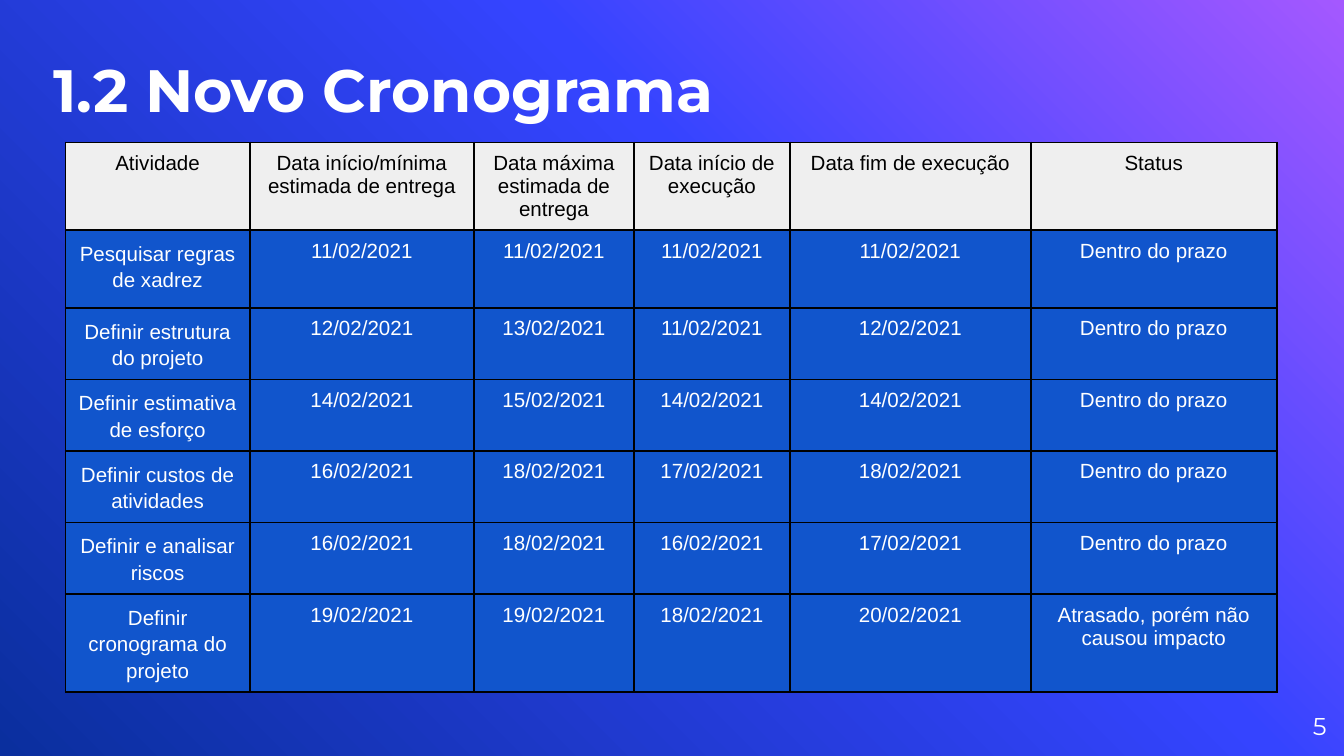
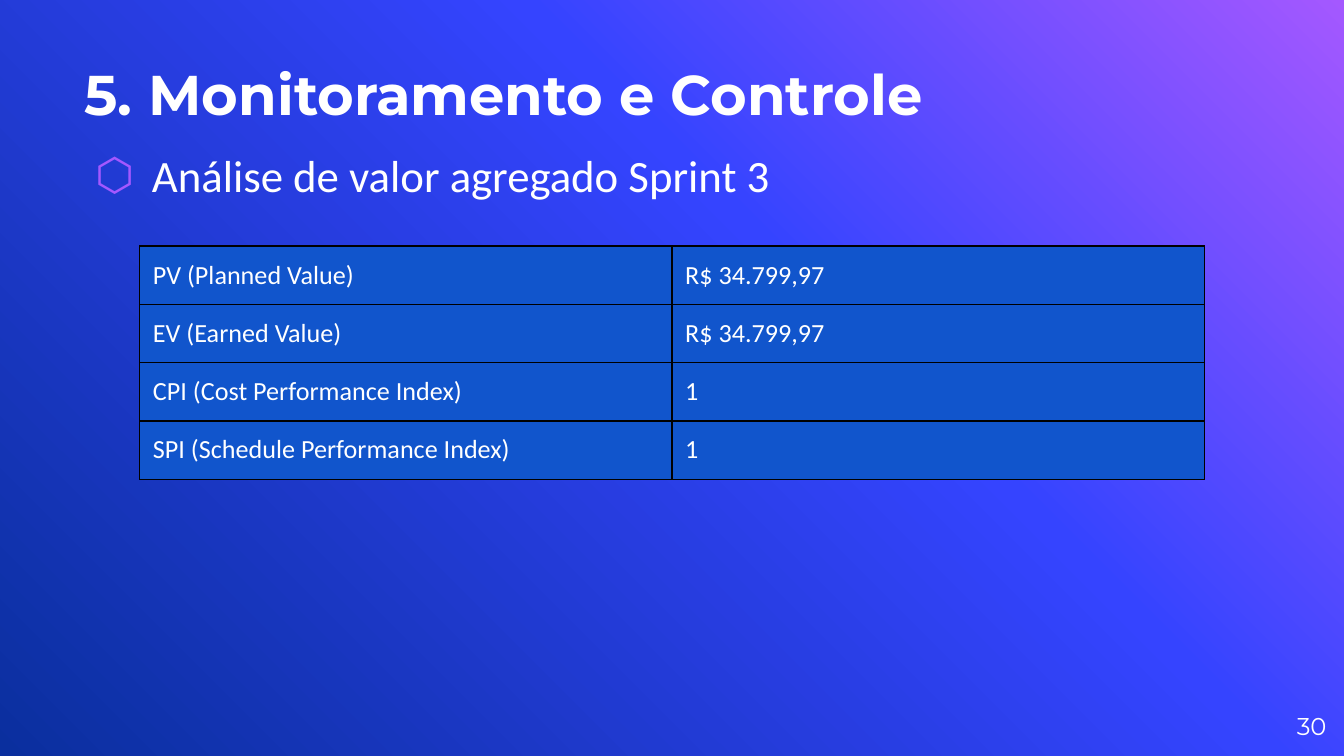
"""Build the schedule and earned-value slides of the project report."""
import copy

from pptx import Presentation
from pptx import util as u
from pptx.dml.color import RGBColor
from pptx.enum import text
from pptx.oxml import parse_xml
from pptx.oxml.ns import nsdecls, qn

WHITE, BLACK, BLUE, GRAY, PURPLE = "FFFFFF", "000000", "1155CC", "EFEFEF", "A458FF"
GRADIENT = [(0, PURPLE), (0.39, "3544FF"), (1, "0A2F9E")]
LEFT, CENTER, RIGHT = text.PP_ALIGN.LEFT, text.PP_ALIGN.CENTER, text.PP_ALIGN.RIGHT
TOP, MIDDLE, BOTTOM = text.MSO_ANCHOR.TOP, text.MSO_ANCHOR.MIDDLE, text.MSO_ANCHOR.BOTTOM
TITLE_AND_BODY, TITLE_ONLY = 1, 5

SCHEDULE_HEADER = [
    "Atividade", "Data início/mínima estimada de entrega", "Data máxima estimada de entrega",
    "Data início de execução", "Data fim de execução", "Status",
]
ON_TIME = "Dentro do prazo"
ACTIVITIES = [
    ("Pesquisar regras de xadrez", (11, 11, 11, 11), ON_TIME),
    ("Definir estrutura do projeto", (12, 13, 11, 12), ON_TIME),
    ("Definir estimativa de esforço", (14, 15, 14, 14), ON_TIME),
    ("Definir custos de atividades", (16, 18, 17, 18), ON_TIME),
    ("Definir e analisar riscos", (16, 18, 16, 17), ON_TIME),
    ("Definir cronograma do projeto", (19, 19, 18, 20), "Atrasado, porém não causou impacto"),
]
EARNED_VALUE = [
    ["PV (Planned Value)", "R$ 34.799,97"],
    ["EV (Earned Value)", "R$ 34.799,97"],
    ["CPI (Cost Performance Index)", "1"],
    ["SPI (Schedule Performance Index)", "1"],
]


def rgb(value):
    return RGBColor.from_string(value)


class Deck:
    def __init__(self):
        self.presentation = Presentation()
        self.presentation.slide_width = u.Cm(25.4)
        self.presentation.slide_height = u.Cm(14.29)
        self.slide = None
        self.paint_background()

    def paint_background(self):
        master = self.presentation.slide_master
        fill = master.background.fill
        fill.gradient()
        fill.gradient_angle = 225
        stops = next(master.element.iter(qn("a:gsLst")))
        stops.append(copy.deepcopy(stops[-1]))
        for stop, (position, color) in zip(fill.gradient_stops, GRADIENT):
            stop.position = position
            stop.color.rgb = rgb(color)

    def add_slide(self, layout, number):
        self.slide = self.presentation.slides.add_slide(self.presentation.slide_layouts[layout])
        box = self.slide.shapes.add_textbox(0, 0, 0, 0)
        self.set_text(box, str(number), (23.55, 13.18, 1.52, 1.09), 13, "Montserrat", RIGHT, MIDDLE)

    def style(self, paragraph, size, font, align, color=WHITE, bold=False):
        paragraph.alignment = align
        for run in paragraph.runs:
            run.font.size = u.Pt(size)
            run.font.name = font
            run.font.bold = bold
            run.font.color.rgb = rgb(color)

    def inset(self, holder, margin):
        holder.margin_left = holder.margin_right = u.Cm(margin)
        holder.margin_top = holder.margin_bottom = u.Cm(margin)

    def set_text(self, shape, words, place, size, font, align=LEFT, anchor=TOP, margin=0, bold=False):
        shape.left, shape.top, shape.width, shape.height = map(u.Cm, place)
        frame = shape.text_frame
        frame.text = words
        frame.word_wrap = True
        frame.auto_size = text.MSO_AUTO_SIZE.NONE
        frame.vertical_anchor = anchor
        self.inset(frame, margin)
        self.style(frame.paragraphs[0], size, font, align, bold=bold)

    def title(self, words, place, size, anchor, margin=0):
        self.set_text(self.slide.shapes.title, words, place, size, "Montserrat",
                      anchor=anchor, margin=margin, bold=True)

    def bullet(self, words, place):
        body = self.slide.placeholders[1]
        self.set_text(body, words, place, 24, "Calibri")
        paragraph = body.text_frame.paragraphs[0]
        paragraph.line_spacing = 1.15
        paragraph.space_before = u.Pt(6)
        properties = next(body.element.iter(qn("a:pPr")))
        properties.set("marL", str(u.Cm(1.27)))
        properties.set("indent", str(u.Cm(-1.07)))
        properties.append(parse_xml(
            f'<a:buClr {nsdecls("a")}><a:srgbClr val="{PURPLE}"/></a:buClr>'))
        properties.append(parse_xml(f'<a:buChar {nsdecls("a")} char="⬡"/>'))

    def table(self, rows, left, top, widths, heights, size, font, align, margin, border, header=False):
        frame = self.slide.shapes.add_table(
            len(rows), len(widths), u.Cm(left), u.Cm(top), u.Cm(sum(widths)), u.Cm(sum(heights)))
        table = frame.table
        table.first_row = table.horz_banding = False
        for column, width in zip(table.columns, widths):
            column.width = u.Cm(width)
        for row, height in zip(table.rows, heights):
            row.height = u.Cm(height)
        for r, values in enumerate(rows):
            is_header = header and r == 0
            for c, value in enumerate(values):
                cell = table.cell(r, c)
                cell.text = value
                self.inset(cell, margin)
                cell.fill.solid()
                cell.fill.fore_color.rgb = rgb(GRAY if is_header else BLUE)
                paragraph = cell.text_frame.paragraphs[0]
                self.style(paragraph, size, font, align, BLACK if is_header else WHITE)
                if header and r > 0 and c == 0:
                    paragraph.line_spacing = 1.15
        self.outline(frame, border)

    def outline(self, frame, width):
        for properties in frame.element.iter(qn("a:tcPr")):
            for index, side in enumerate("LRTB"):
                properties.insert(index, parse_xml(
                    f'<a:ln{side} {nsdecls("a")} w="{u.Pt(width)}"><a:solidFill>'
                    f'<a:srgbClr val="{BLACK}"/></a:solidFill></a:ln{side}>'))


def main():
    deck = Deck()

    deck.add_slide(TITLE_ONLY, 5)
    deck.title("1.2 Novo Cronograma", (0.76, 0.74, 18.14, 2.49), 32, TOP, margin=0.25)
    schedule = [SCHEDULE_HEADER] + [
        [activity, *(f"{day}/02/2021" for day in days), status]
        for activity, days, status in ACTIVITIES
    ]
    deck.table(schedule, 1.24, 2.69, [3.48, 4.24, 3.02, 2.95, 4.55, 4.65],
               [1.65, 1.47] + [1.35] * 4 + [1.65], 11, "Arial", CENTER, 0.18, 1, header=True)

    deck.add_slide(TITLE_AND_BODY, 30)
    deck.title("5. Monitoramento e Controle", (1.6, 0, 16.71, 2.39), 30, BOTTOM)
    deck.bullet("Análise de valor agregado Sprint 3", (1.6, 2.64, 22.22, 10.19))
    deck.table(EARNED_VALUE, 2.64, 4.65, [10.06] * 2, [1.07] * 4,
               14, "Calibri", LEFT, 0.25, 0.75)

    deck.presentation.save("out.pptx")


if __name__ == "__main__":
    main()
